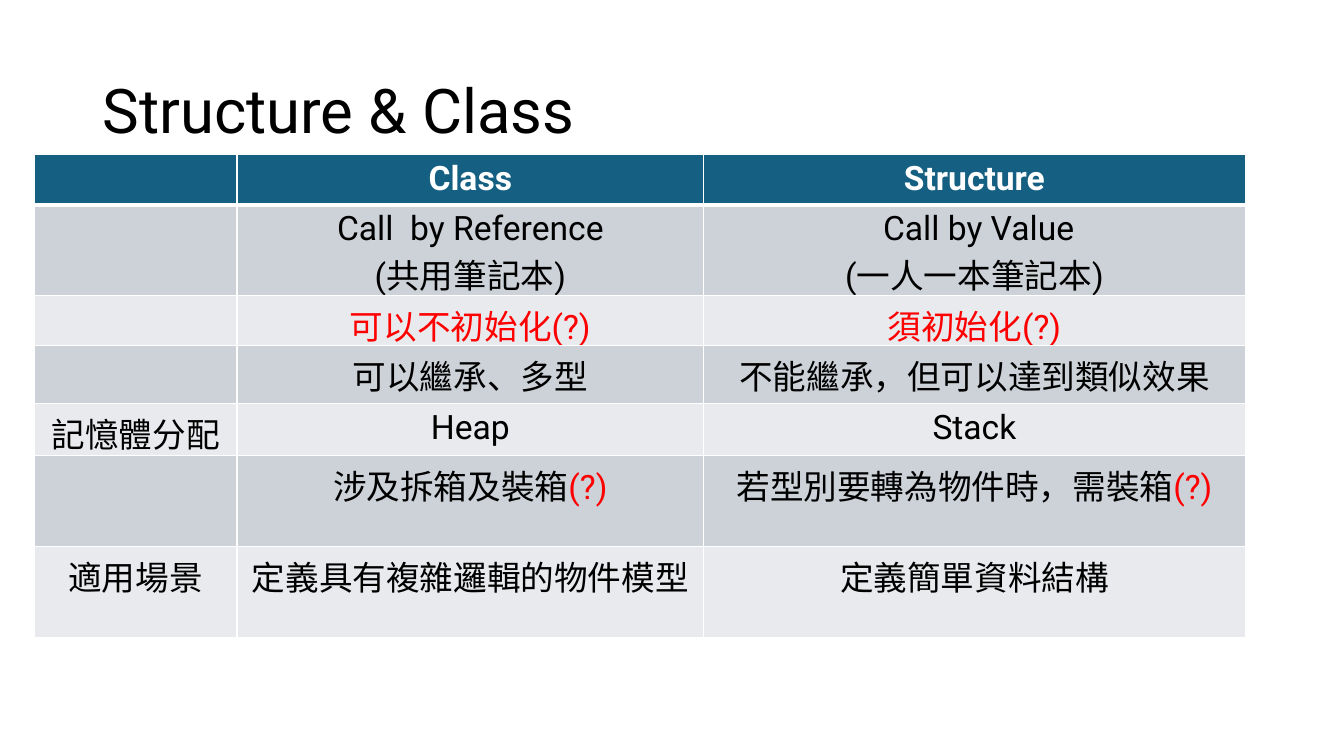
from typing import NamedTuple

from lxml import etree
from pptx import Presentation
from pptx.dml.color import RGBColor
from pptx.enum.text import MSO_ANCHOR, PP_ALIGN
from pptx.oxml.ns import qn
from pptx.util import Inches, Pt

CENTER = PP_ALIGN.CENTER
MIDDLE = MSO_ANCHOR.MIDDLE
FONT = "Roboto"
BLACK, WHITE, RED = "000000", "FFFFFF", "FF0000"
HEADER_FILL = "156082"
BAND_FILLS = ("E8EAED", "CCD2D8")
COL_WIDTHS = (2.01, 4.63, 5.37)


class Row(NamedTuple):
    height: float
    label: str
    class_text: str
    structure_text: str
    color: str = BLACK
    mark: str = ""


ROWS = (
    Row(0.5, "", "Class", "Structure", WHITE),
    Row(0.9, "", "Call  by Reference\n(共用筆記本)", " Call by Value\n(一人一本筆記本)"),
    Row(0.5, "", "可以不初始化(?)", "須初始化(?)", RED),
    Row(0.57, "", "可以繼承、多型", "不能繼承，但可以達到類似效果"),
    Row(0.52, "記憶體分配", "Heap", "Stack"),
    Row(0.9, "", "涉及拆箱及裝箱", "若型別要轉為物件時，需裝箱", mark="(?)"),
    Row(0.9, "適用場景", "定義具有複雜邏輯的物件模型", "定義簡單資料結構"),
)


def rgb(color: str) -> RGBColor:
    return RGBColor.from_string(color)


def add_run(p, text: str, color: str) -> None:
    r = p.add_run()
    r.text = text
    r.font.color.rgb = rgb(color)


def set_borders(cell, bottom: float) -> None:
    tc_pr = cell._tc.get_or_add_tcPr()
    for side, width in (("L", 1), ("R", 1), ("T", 1), ("B", bottom)):
        ln = etree.SubElement(tc_pr, qn(f"a:ln{side}"), w=str(Pt(width)))
        fill = etree.SubElement(ln, qn("a:solidFill"))
        etree.SubElement(fill, qn("a:srgbClr"), val=WHITE)


def fill_cell(cell, text: str, row: Row, header: bool, fill: str) -> None:
    set_borders(cell, 3 if header else 1)
    cell.fill.solid()
    cell.fill.fore_color.rgb = rgb(fill)
    if not text:
        return
    tf = cell.text_frame
    for i, line in enumerate(text.split("\n")):
        p = tf.add_paragraph() if i else tf.paragraphs[0]
        p.alignment = CENTER
        p.font.name, p.font.size, p.font.bold = FONT, Pt(24), header
        add_run(p, line, row.color)
        if row.mark:
            add_run(p, row.mark, RED)


def add_title(s, text: str) -> None:
    sp = s.shapes.add_textbox(Inches(0.92), Inches(0.4), Inches(11.5), Inches(1.45))
    tf = sp.text_frame
    tf.word_wrap = True
    tf.vertical_anchor = MIDDLE
    p = tf.paragraphs[0]
    p.line_spacing = 0.9
    p.font.name, p.font.size = FONT, Pt(44)
    add_run(p, text, BLACK)


def add_comparison(s) -> None:
    table = s.shapes.add_table(
        len(ROWS), len(COL_WIDTHS), Inches(0.34), Inches(1.53),
        Inches(sum(COL_WIDTHS)), Inches(sum(row.height for row in ROWS)),
    ).table
    for column, width in zip(table.columns, COL_WIDTHS):
        column.width = Inches(width)
    for i, row in enumerate(ROWS):
        table.rows[i].height = Inches(row.height)
        header = i == 0
        fill = HEADER_FILL if header else BAND_FILLS[i % 2]
        for j, text in enumerate((row.label, row.class_text, row.structure_text)):
            fill_cell(table.cell(i, j), text, row, header, fill)


def main() -> None:
    prs = Presentation()
    prs.slide_width, prs.slide_height = Inches(13.33), Inches(7.5)
    s = prs.slides.add_slide(prs.slide_layouts[6])
    add_title(s, "Structure & Class")
    add_comparison(s)
    prs.save("out.pptx")


if __name__ == "__main__":
    main()
